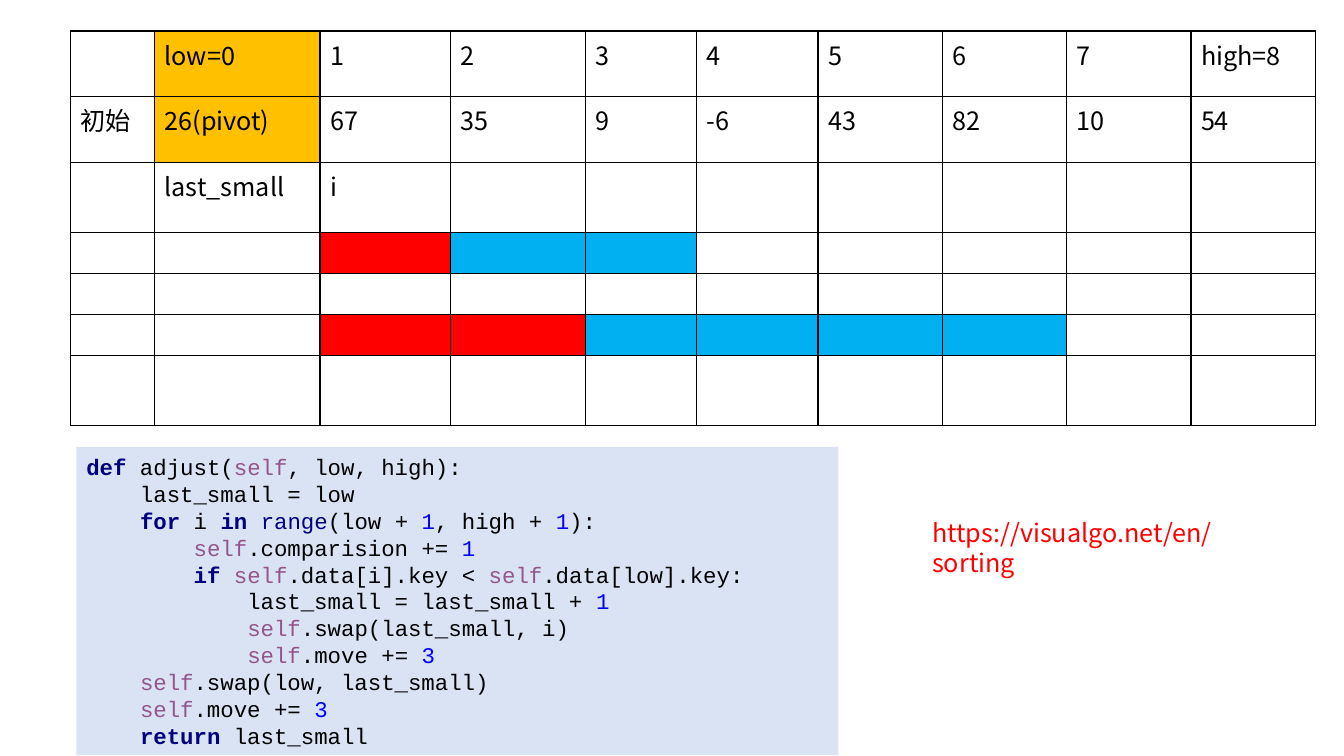
import itertools

import pptx
import pptx.dml.color
import pptx.enum.shapes
import pptx.enum.text
import pptx.oxml
import pptx.oxml.ns
import pptx.util

THEME = {
    "sans": "Noto Sans CJK SC", "mono": "Courier New",
    "body": 18, "small": 16, "rule": 1,
    "ink": "000000", "paper": "FFFFFF", "panel": "DAE3F3",
    "gold": "FFC000", "red": "FF0000", "blue": "00B0F0",
    "key": "000080", "self": "94558D", "digit": "0000FF",
}
WIDE, HIGH = 13.33, 7.5
GRID_COLS, GRID_ROWS = 160, 90

COLS = [10, 19.7, 15.5, 16.1, 13.2, 14.5] + [14.8] * 4
ROWS = [7.8, 7.8, 8.4, 4.8, 4.8, 4.8, 8.4]
CELLS = [
    ["", "low=0", "1", "2", "3", "4", "5", "6", "7", "high=8"],
    ["初始", "26(pivot)", "67", "35", "9", "-6", "43", "82", "10", "54"],
    ["", "last_small", "i"],
]
BANDS = [
    (0, 1, 2, "gold"), (1, 1, 2, "gold"),
    (3, 2, 3, "red"), (3, 3, 5, "blue"),
    (5, 2, 4, "red"), (5, 4, 8, "blue"),
]
CODE = """def adjust(self, low, high):
    last_small = low
    for i in range(low + 1, high + 1):
        self.comparision += 1
        if self.data[i].key < self.data[low].key:
            last_small = last_small + 1
            self.swap(last_small, i)
            self.move += 3
    self.swap(low, last_small)
    self.move += 3
    return last_small"""
BOLD = {"def", "for", "in", "if", "return"}


def across(cols):
    return pptx.util.Inches(cols * WIDE / GRID_COLS)


def down(rows):
    return pptx.util.Inches(rows * HIGH / GRID_ROWS)


def place(left, top, cols, rows):
    return across(left), down(top), across(cols), down(rows)


def tint(name):
    return pptx.dml.color.RGBColor.from_string(THEME[name])


def paint(fill, name):
    fill.solid()
    fill.fore_color.rgb = tint(name)


def style(item, values):
    for name, value in values.items():
        setattr(item, name, value)


def add_run(para, text, face, size, hue="ink", bold=False):
    run = para.add_run()
    run.text = text
    style(run.font, {"name": THEME[face], "size": pptx.util.Pt(THEME[size]), "bold": bold})
    run.font.color.rgb = tint(hue)
    east = pptx.oxml.parse_xml(
        f'<a:ea {pptx.oxml.ns.nsdecls("a")} typeface="{THEME[face]}"/>')
    run.font._element.find(pptx.oxml.ns.qn("a:latin")).addnext(east)


def rule_cell(cell):
    props = cell._tc.get_or_add_tcPr()
    width = pptx.util.Pt(THEME["rule"])
    for spot, side in enumerate(("lnL", "lnR", "lnT", "lnB")):
        props.insert(spot, pptx.oxml.parse_xml(
            f'<a:{side} {pptx.oxml.ns.nsdecls("a")} w="{width}"><a:solidFill>'
            f'<a:srgbClr val="{THEME["ink"]}"/></a:solidFill></a:{side}>'))


def add_trace(slide, left, top):
    frame = slide.shapes.add_table(
        len(ROWS), len(COLS), *place(left, top, sum(COLS), sum(ROWS)))
    table = frame.table
    style(table, {"first_row": False, "horz_banding": False})
    for col, span in zip(table.columns, COLS):
        col.width = across(span)
    for row, span in zip(table.rows, ROWS):
        row.height = down(span)
    for cell in table.iter_cells():
        paint(cell.fill, "paper")
        rule_cell(cell)
    for r, words in enumerate(CELLS):
        for c, word in enumerate(words):
            if word:
                add_run(table.cell(r, c).text_frame.paragraphs[0], word, "sans", "body")
    for r, start, stop, hue in BANDS:
        for c in range(start, stop):
            paint(table.cell(r, c).fill, hue)


def look(word):
    if word in BOLD:
        return "key", True
    if word.isdigit():
        return "digit", False
    return {"self": "self", "range": "key"}.get(word, "ink"), False


def add_code(slide, *spot):
    panel = slide.shapes.add_shape(
        pptx.enum.shapes.MSO_SHAPE.RECTANGLE, *place(*spot))
    panel.shadow.inherit = False
    paint(panel.fill, "panel")
    panel.line.fill.background()
    frame = panel.text_frame
    style(frame, {"word_wrap": True, "vertical_anchor": pptx.enum.text.MSO_ANCHOR.MIDDLE})
    para = frame.paragraphs[0]
    style(para, {"alignment": pptx.enum.text.PP_ALIGN.LEFT})
    for n, line in enumerate(CODE.splitlines()):
        if n:
            para.add_line_break()
        for _, part in itertools.groupby(line, lambda c: c.isalnum() or c == "_"):
            word = "".join(part)
            add_run(para, word, "mono", "small", *look(word))


def add_link(slide, text, *spot):
    frame = slide.shapes.add_textbox(*place(*spot)).text_frame
    style(frame, {"word_wrap": True})
    add_run(frame.paragraphs[0], text, "sans", "body", "red")


def main():
    deck = pptx.Presentation()
    style(deck, {"slide_width": across(GRID_COLS), "slide_height": down(GRID_ROWS)})
    slide = deck.slides.add_slide(deck.slide_layouts[6])
    add_trace(slide, 8.4, 3.7)
    add_link(slide, "https://visualgo.net/en/sorting", 109.8, 61, 42, 4.8)
    add_code(slide, 9.1, 53.2, 90.7, 36.7)
    deck.save("out.pptx")


if __name__ == "__main__":
    main()
